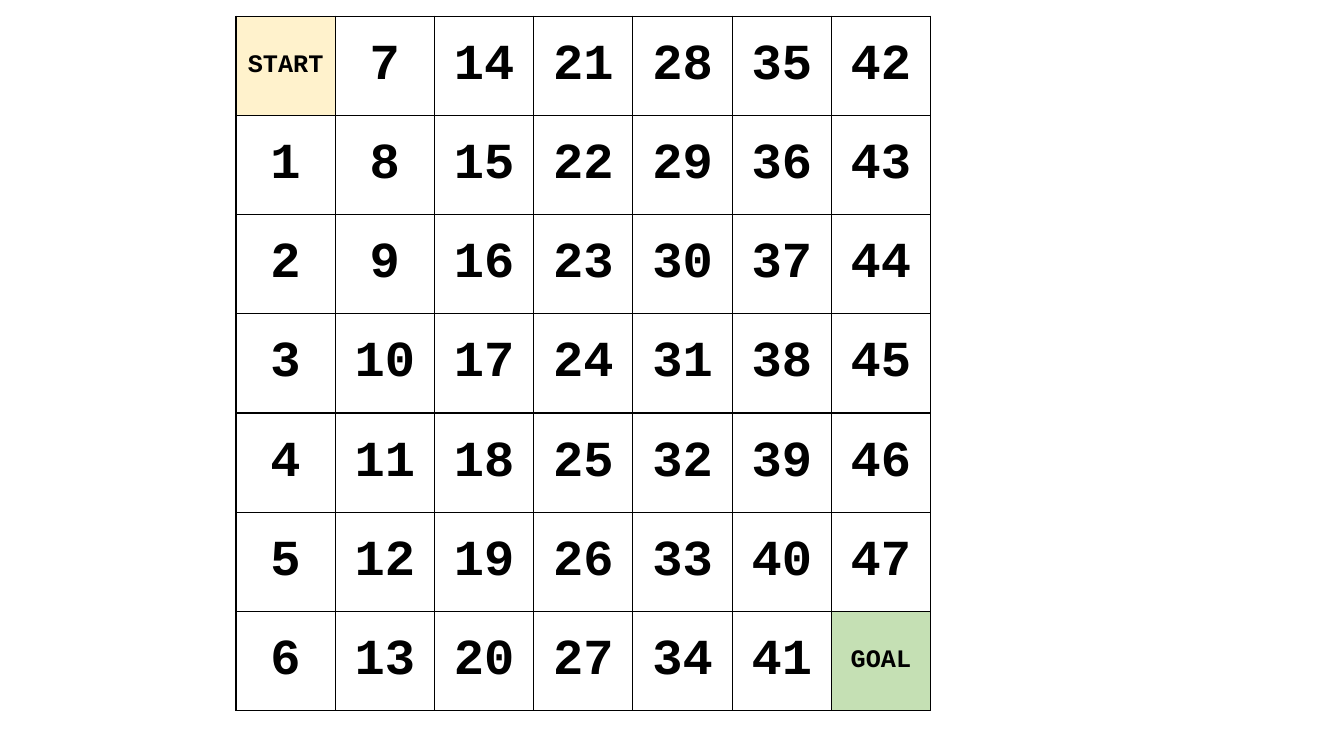
from dataclasses import dataclass

from pptx import Presentation
from pptx.dml.color import RGBColor
from pptx.enum.text import MSO_ANCHOR as Anchor, PP_ALIGN as Align
from pptx.oxml import parse_xml
from pptx.oxml.ns import nsdecls
from pptx.slide import Slide
from pptx.table import _Cell as Cell
from pptx.util import Inches, Pt

COLORS = {"text": "000000", "border": "000000", "plain": "FFFFFF",
          "start": "FFF2CC", "goal": "C5E0B4"}
SIZE = 7
LAST = SIZE * SIZE - 1
BOARD_LEFT, BOARD_TOP, BOARD_SIDE = Inches(2.34), Inches(0.16), Inches(6.89)
FONT_FORMAT = {"name": "Courier New", "bold": True}


@dataclass(frozen=True)
class Square:
    label: str
    fill: str = "plain"
    points: int = 36


# Squares whose label is a word instead of their number
END_SQUARES = {0: Square("START", "start", 18), LAST: Square("GOAL", "goal", 18)}


def draw_borders(cell: Cell) -> None:
    """Give the cell a thin solid line on all four sides."""
    properties = cell._tc.get_or_add_tcPr()
    for side in ("lnL", "lnR", "lnT", "lnB"):
        properties.append(parse_xml(
            f'<a:{side} {nsdecls("a")} w="{Pt(1)}"><a:solidFill>'
            f'<a:srgbClr val="{COLORS["border"]}"/></a:solidFill></a:{side}>'))


def draw_square(cell: Cell, square: Square) -> None:
    draw_borders(cell)
    cell.fill.solid()
    cell.fill.fore_color.rgb = RGBColor.from_string(COLORS[square.fill])
    cell.vertical_anchor = Anchor.MIDDLE
    paragraph = cell.text_frame.paragraphs[0]
    paragraph.alignment = Align.CENTER
    run = paragraph.add_run()
    run.text = square.label
    for attribute, value in {**FONT_FORMAT, "size": Pt(square.points)}.items():
        setattr(run.font, attribute, value)
    run.font.color.rgb = RGBColor.from_string(COLORS["text"])


def draw_board(slide: Slide) -> None:
    board = slide.shapes.add_table(
        SIZE, SIZE, BOARD_LEFT, BOARD_TOP, BOARD_SIDE, BOARD_SIDE).table
    board.first_row = board.horz_banding = False
    # Numbers run down each column in turn
    for number in range(LAST + 1):
        column, row = divmod(number, SIZE)
        square = END_SQUARES.get(number, Square(str(number)))
        draw_square(board.cell(row, column), square)


# Presentation with one blank slide
presentation = Presentation()
presentation.slide_width, presentation.slide_height = Inches(13.33), Inches(7.5)
draw_board(presentation.slides.add_slide(presentation.slide_layouts[6]))
presentation.save("out.pptx")
